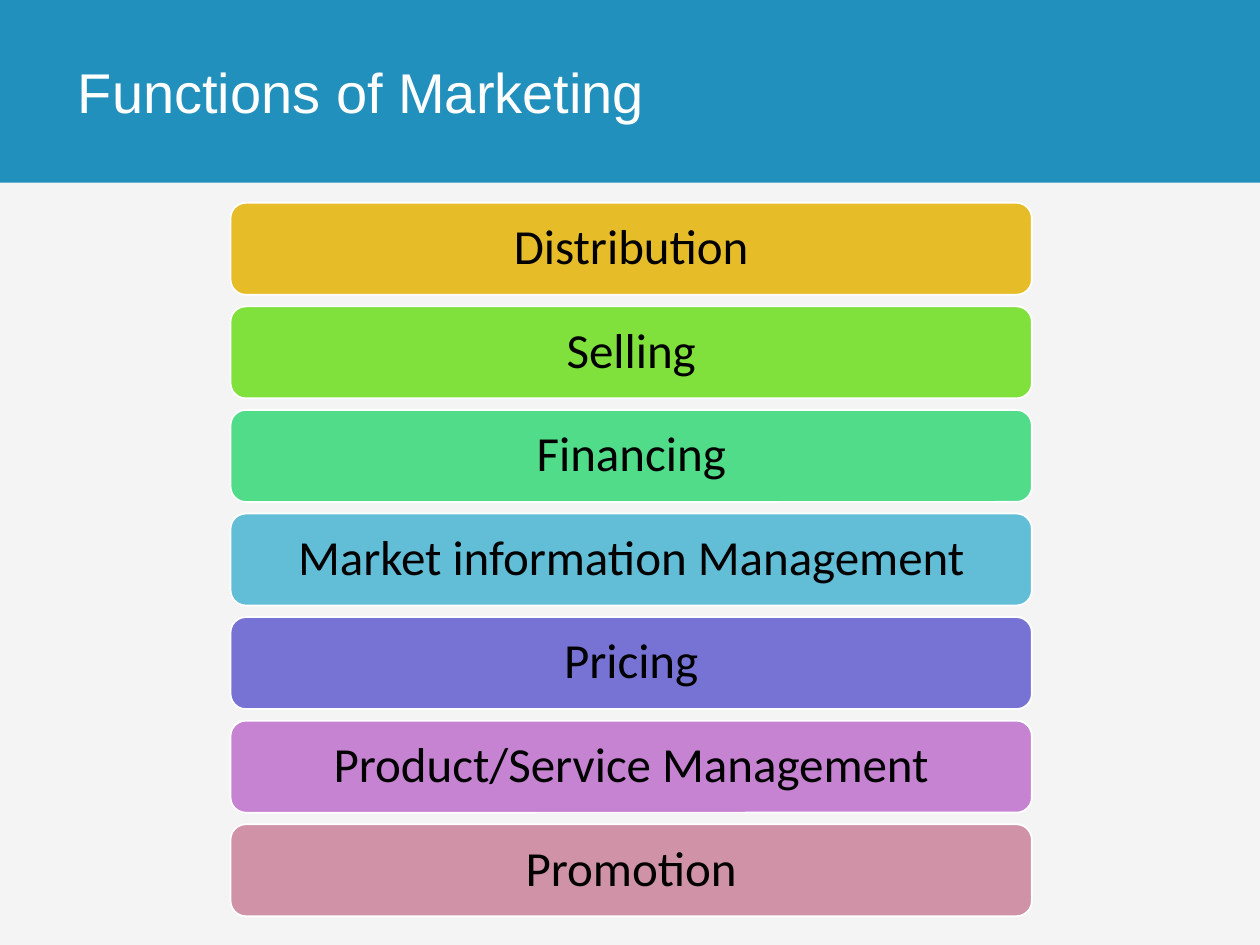
from pptx import Presentation
from pptx.dml.color import RGBColor
from pptx.enum.shapes import MSO_SHAPE
from pptx.enum.text import MSO_ANCHOR, PP_ALIGN
from pptx.util import Inches, Pt

RECT = MSO_SHAPE.RECTANGLE
ROUND = MSO_SHAPE.ROUNDED_RECTANGLE
MIDDLE = MSO_ANCHOR.MIDDLE
LEFT = PP_ALIGN.LEFT
CENTER = PP_ALIGN.CENTER

HUES = {
    "back": "F4F4F5",
    "band": "2190BC",
    "white": "FFFFFF",
    "black": "000000",
    "Distribution": "E7BC29",
    "Selling": "80E13D",
    "Financing": "50DC88",
    "Market information Management": "62BED7",
    "Pricing": "7673D4",
    "Product/Service Management": "C583D2",
    "Promotion": "D092A7",
}
ITEMS = list(HUES)[4:]
TITLE = {"name": "Arial", "size": Pt(32)}
LABEL = {"name": "Calibri", "size": Pt(28)}
TOP, STEP = 1.61, 0.822


def add_box(kind, x, y, w, h, hue):
    box = slide.shapes.add_shape(kind, Inches(x), Inches(y), Inches(w), Inches(h))
    box.shadow.inherit = False
    box.fill.solid()
    box.fill.fore_color.rgb = RGBColor.from_string(HUES[hue])
    box.line.fill.background()
    return box


def set_text(shape, text, style, hue, align):
    frame = shape.text_frame
    frame.word_wrap = True
    frame.vertical_anchor = MIDDLE
    para = frame.paragraphs[0]
    para.alignment = align
    run = para.add_run()
    run.text = text
    for key, value in style.items():
        setattr(run.font, key, value)
    run.font.color.rgb = RGBColor.from_string(HUES[hue])
    return para


deck = Presentation()
deck.slide_width = Inches(10)
deck.slide_height = Inches(7.5)
slide = deck.slides.add_slide(deck.slide_layouts[6])
slide.background.fill.solid()
slide.background.fill.fore_color.rgb = RGBColor.from_string(HUES["back"])

add_box(RECT, 0, 0, 10, 1.45, "band")
title = slide.shapes.add_textbox(Inches(0.52), Inches(0), Inches(9.48), Inches(1.45))
set_text(title, "Functions of Marketing", TITLE, "white", LEFT)

for row, item in enumerate(ITEMS):
    bar = add_box(ROUND, 1.83, TOP + row * STEP, 6.36, 0.73, item)
    bar.line.color.rgb = RGBColor.from_string(HUES["white"])
    bar.line.width = Pt(1)
    para = set_text(bar, item, LABEL, "black", CENTER)
    para.line_spacing = 0.9

deck.save("out.pptx")
